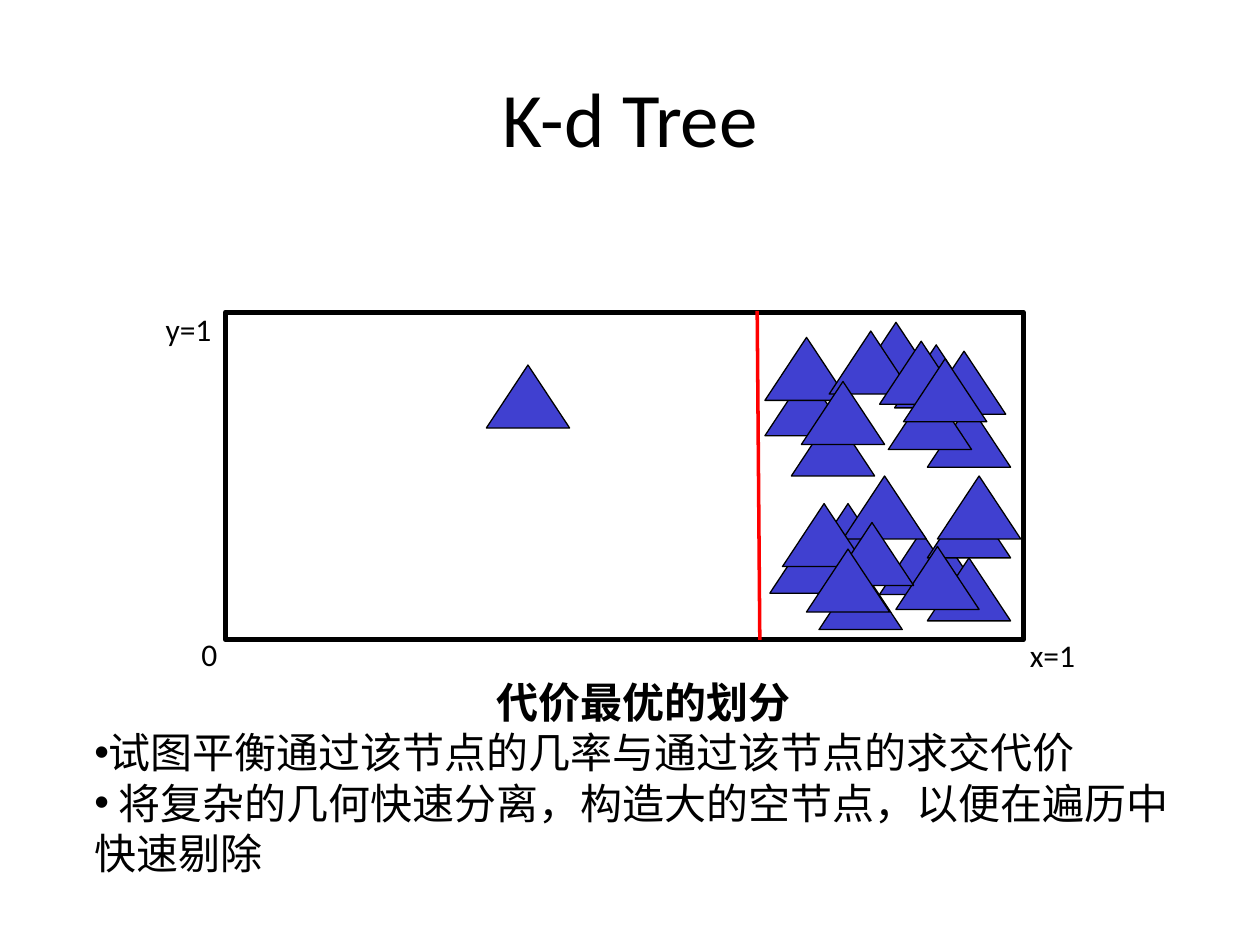
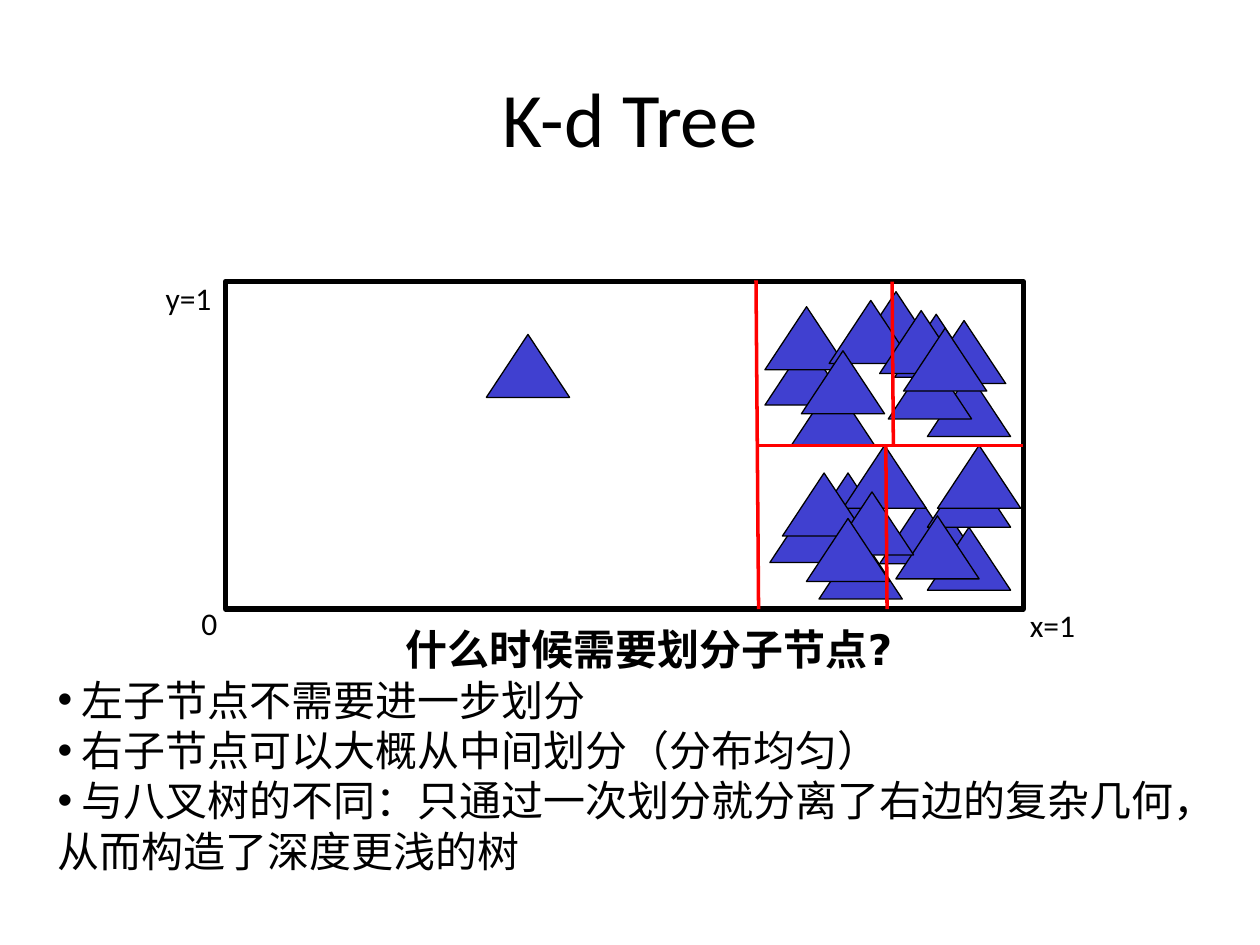
from lxml.etree import SubElement
from pptx import Presentation
from pptx.dml.color import RGBColor
from pptx.enum.shapes import MSO_CONNECTOR, MSO_SHAPE
from pptx.enum.text import MSO_ANCHOR, PP_ALIGN
from pptx.oxml.ns import qn
from pptx.util import Pt

BLACK = RGBColor(0x00, 0x00, 0x00)
BLUE = RGBColor(0x40, 0x40, 0xD0)
RED = RGBColor(0xFF, 0x00, 0x00)
FONT = "Calibri"

# The cell of the tree, and the triangles in it (left, top from its corner)
LEFT, WIDE, HIGH = 128.9, 455.8, 187.2
MID = HIGH / 2
TRI_W, TRI_H = 47.6, 36
TRIS = [
    (387.4, 130.3), (373.7, 125.3), (382.3, 18.7), (323.3, 57.6),
    (401, 52.6), (308.2, 34.6), (331.9, 109.4), (401, 140.4),
    (352.8, 93.6), (359.3, 5.8), (311, 124.6), (401, 104.4),
    (318.2, 109.4), (406.8, 93.6), (308.2, 14.4), (339.1, 145.4),
    (378.7, 42.5), (383, 133.9), (398.2, 22.3), (344.9, 10.8),
    (345.6, 120.2), (149, 30.2), (373.7, 16.6), (387.4, 26.6),
    (331.9, 135.4), (329, 39.6),
]
# Axis labels: text, left and top from the corner, width, wrap
MARKS = [
    ("0", -20.9, 180.7, 23.8, False),
    ("x=1", 452.5, 181.8, 40.3, False),
    ("y=1", -41.4, -4.8, 49.7, True),
]


def add_text(slide, text, left, top, wide, high, size=18, font=FONT,
             align=PP_ALIGN.LEFT, anchor=MSO_ANCHOR.TOP, wrap=True):
    box = slide.shapes.add_textbox(Pt(left), Pt(top), Pt(wide), Pt(high))
    frame = box.text_frame
    frame.word_wrap = wrap
    frame.vertical_anchor = anchor
    add_line(frame.paragraphs[0], text, size, font, align)
    return frame


def add_line(para, text, size, font, align=PP_ALIGN.LEFT, bold=False,
             dot=False):
    para.alignment = align
    if dot:
        props = para._p.get_or_add_pPr()
        props.set("marL", "0")
        props.set("indent", "0")
        SubElement(props, qn("a:buFont")).set("typeface", "Arial")
        SubElement(props, qn("a:buChar")).set("char", "•")
    run = para.add_run()
    run.text = text
    run.font.size = Pt(size)
    run.font.name = font
    run.font.bold = bold
    run.font.color.rgb = BLACK


def add_notes(slide, head, items, left, top, wide, high, font):
    """Bold centred heading with bulleted lines below."""
    frame = add_text(slide, head, left, top, wide, high, size=24, font=font,
                     align=PP_ALIGN.CENTER)
    frame.paragraphs[0].runs[0].font.bold = True
    for item in items:
        add_line(frame.add_paragraph(), item, 24, font, dot=True)


def add_form(slide, kind, left, top, wide, high, line, fill=None):
    form = slide.shapes.add_shape(kind, Pt(left), Pt(top), Pt(wide), Pt(high))
    form.shadow.inherit = False
    if fill is None:
        form.fill.background()
    else:
        form.fill.solid()
        form.fill.fore_color.rgb = fill
    form.line.color.rgb = BLACK
    form.line.width = Pt(line)
    return form


def add_cut(slide, top, x1, y1, x2, y2):
    cut = slide.shapes.add_connector(
        MSO_CONNECTOR.STRAIGHT, Pt(LEFT + x1), Pt(top + y1),
        Pt(LEFT + x2), Pt(top + y2))
    cut.line.color.rgb = RED
    cut.line.width = Pt(2)
    SubElement(cut._element.spPr, qn("a:effectLst"))
    return cut


def add_cell(slide, top):
    """Labelled cell filled with triangles."""
    for text, dx, dy, wide, wrap in MARKS:
        add_text(slide, text, LEFT + dx, top + dy, wide, 28.8, wrap=wrap)
    cell = add_form(slide, MSO_SHAPE.RECTANGLE, LEFT, top, WIDE, HIGH, 3)
    for dx, dy in TRIS:
        add_form(slide, MSO_SHAPE.ISOSCELES_TRIANGLE, LEFT + dx, top + dy,
                 TRI_W, TRI_H, 0.75, BLUE)
    return cell


def add_page(deck):
    slide = deck.slides.add_slide(deck.slide_layouts[6])
    add_text(slide, "K-d Tree", 36, 21.6, 648, 90, size=44,
             align=PP_ALIGN.CENTER, anchor=MSO_ANCHOR.MIDDLE)
    return slide


def main():
    deck = Presentation()
    deck.slide_width, deck.slide_height = Pt(720), Pt(540)

    # Best single split
    slide, top = add_page(deck), 178.4
    add_notes(slide, "代价最优的划分", [
        "试图平衡通过该节点的几率与通过该节点的求交代价",
        " 将复杂的几何快速分离，构造大的空节点，以便在遍历中快速剔除",
    ], 46.8, 383, 642.2, 123.8, FONT)
    add_cell(slide, top)
    add_cut(slide, top, 303.8, -0.7, 305.3, HIGH)

    # Further splits on the right
    slide, top = add_page(deck), 160.9
    add_notes(slide, "什么时候需要划分子节点?", [
        " 左子节点不需要进一步划分",
        " 右子节点可以大概从中间划分（分布均匀）",
        " 与八叉树的不同：只通过一次划分就分离了右边的复杂几何，从而构造了深度更浅的树",
    ], 25.9, 352.8, 689.8, 152.6, "DejaVu Sans")
    cell = add_cell(slide, top)
    add_cut(slide, top, 303.1, -0.7, 304.6, HIGH)
    add_cut(slide, top, 303.8, MID, WIDE, MID).end_connect(cell, 3)
    add_cut(slide, top, 380.9, 0, 381.6, MID)
    add_cut(slide, top, 377.3, MID, 378, HIGH)

    deck.save("out.pptx")


if __name__ == "__main__":
    main()
